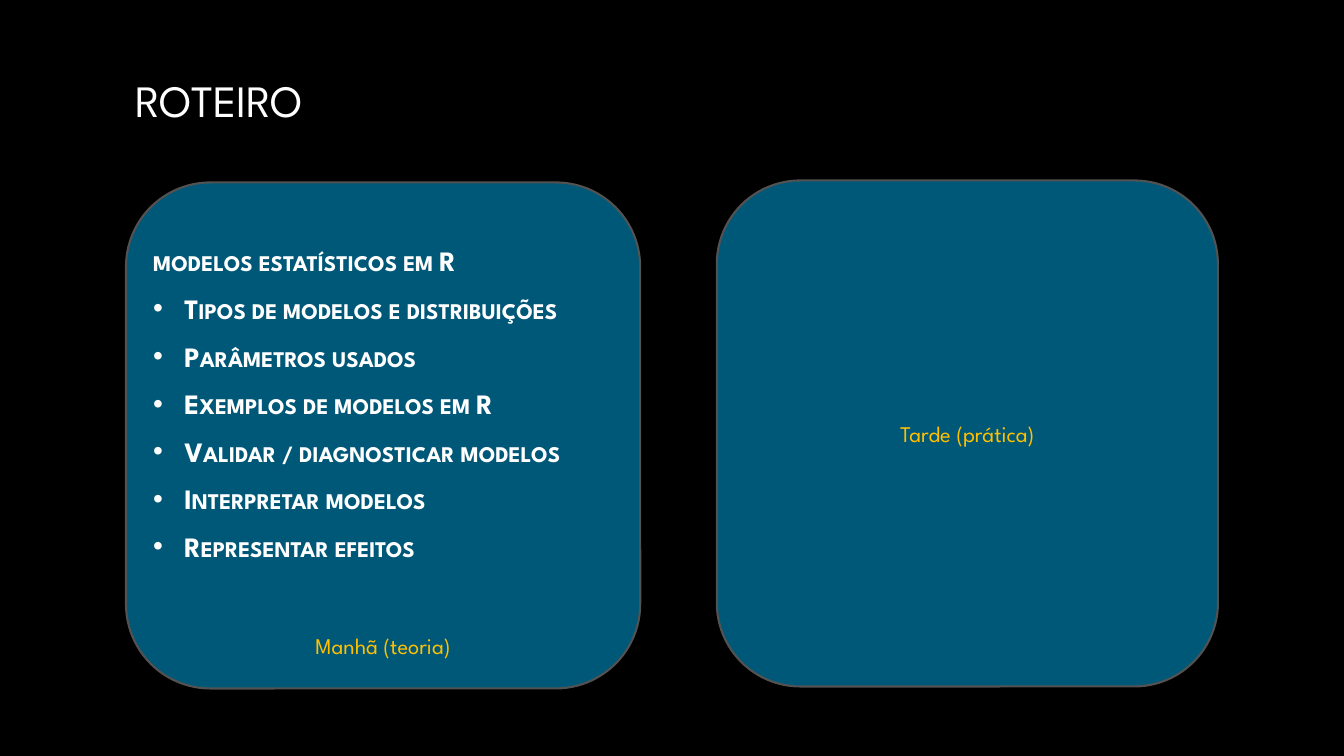
from lxml import etree
from pptx import Presentation
from pptx.dml.color import RGBColor
from pptx.enum.shapes import MSO_SHAPE
from pptx.enum.text import MSO_ANCHOR, PP_ALIGN
from pptx.oxml.ns import qn
from pptx.util import Inches, Pt

BLACK = RGBColor(0x00, 0x00, 0x00)
WHITE = RGBColor(0xFF, 0xFF, 0xFF)
BLUE = RGBColor(0x00, 0xB0, 0xF0)
GREY = RGBColor(0x52, 0x52, 0x52)
GOLD = RGBColor(0xFF, 0xC0, 0x00)
ROUNDED = MSO_SHAPE.ROUNDED_RECTANGLE
MIDDLE, BOTTOM = MSO_ANCHOR.MIDDLE, MSO_ANCHOR.BOTTOM
LEFT, CENTER = PP_ALIGN.LEFT, PP_ALIGN.CENTER
FONT = "League Spartan"


def write(paragraph, text, size, color=WHITE, align=LEFT, bold=False, small_caps=False):
    paragraph.alignment = align
    run = paragraph.add_run()
    run.text = text
    run.font.name = FONT
    run.font.size = Pt(size)
    run.font.bold = bold
    run.font.color.rgb = color
    if small_caps:
        run.font._element.set("cap", "small")


prs = Presentation()
prs.slide_width, prs.slide_height = Inches(13.33), Inches(7.5)
slide = prs.slides.add_slide(prs.slide_layouts[6])
slide.background.fill.solid()
slide.background.fill.fore_color.rgb = BLACK

# Half-transparent panels for the two sessions
sessions = [
    ("Tarde (prática)", 7.11, 1.79, 4.97, MIDDLE),
    ("Manhã (teoria)", 1.25, 1.81, 5.1, BOTTOM),
]
for session, left, top, width, anchor in sessions:
    panel = slide.shapes.add_shape(
        ROUNDED, Inches(left), Inches(top), Inches(width), Inches(5.02))
    panel.shadow.inherit = False
    panel.fill.solid()
    panel.fill.fore_color.rgb = BLUE
    blue = panel._element.spPr.find(qn("a:solidFill")).find(qn("a:srgbClr"))
    etree.SubElement(blue, qn("a:alpha"), val="50000")
    panel.line.color.rgb = GREY
    panel.line.width = Pt(1.5)
    panel.text_frame.vertical_anchor = anchor
    write(panel.text_frame.paragraphs[0], session, 16, color=GOLD, align=CENTER)

# Title
title = slide.shapes.add_textbox(Inches(1.25), Inches(0.67), Inches(10.83), Inches(2.08))
title.text_frame.word_wrap = True
write(title.text_frame.paragraphs[0], "ROTEIRO", 32)

# Morning topics: a heading followed by bullets
topics = [
    "modelos estatísticos em R",
    "Tipos de modelos e distribuições",
    "Parâmetros usados",
    "Exemplos de modelos em R",
    "Validar / diagnosticar modelos",
    "Interpretar modelos",
    "Representar efeitos",
]
agenda = slide.shapes.add_textbox(Inches(1.42), Inches(2.37), Inches(4.75), Inches(3.73))
agenda.text_frame.word_wrap = True
for index, topic in enumerate(topics):
    if index == 0:
        line = agenda.text_frame.paragraphs[0]
    else:
        line = agenda.text_frame.add_paragraph()
    line.space_before, line.space_after = Pt(4), Pt(6)
    write(line, topic, 20, bold=True, small_caps=True)
    if index > 0:
        props = line._p.get_or_add_pPr()
        props.set("marL", str(Inches(0.31)))
        props.set("indent", str(-Inches(0.31)))
        bullet_color = etree.SubElement(props, qn("a:buClr"))
        etree.SubElement(bullet_color, qn("a:srgbClr"), val=str(WHITE))
        etree.SubElement(props, qn("a:buFont"), typeface="Arial")
        etree.SubElement(props, qn("a:buChar"), char="•")

prs.save("out.pptx")
